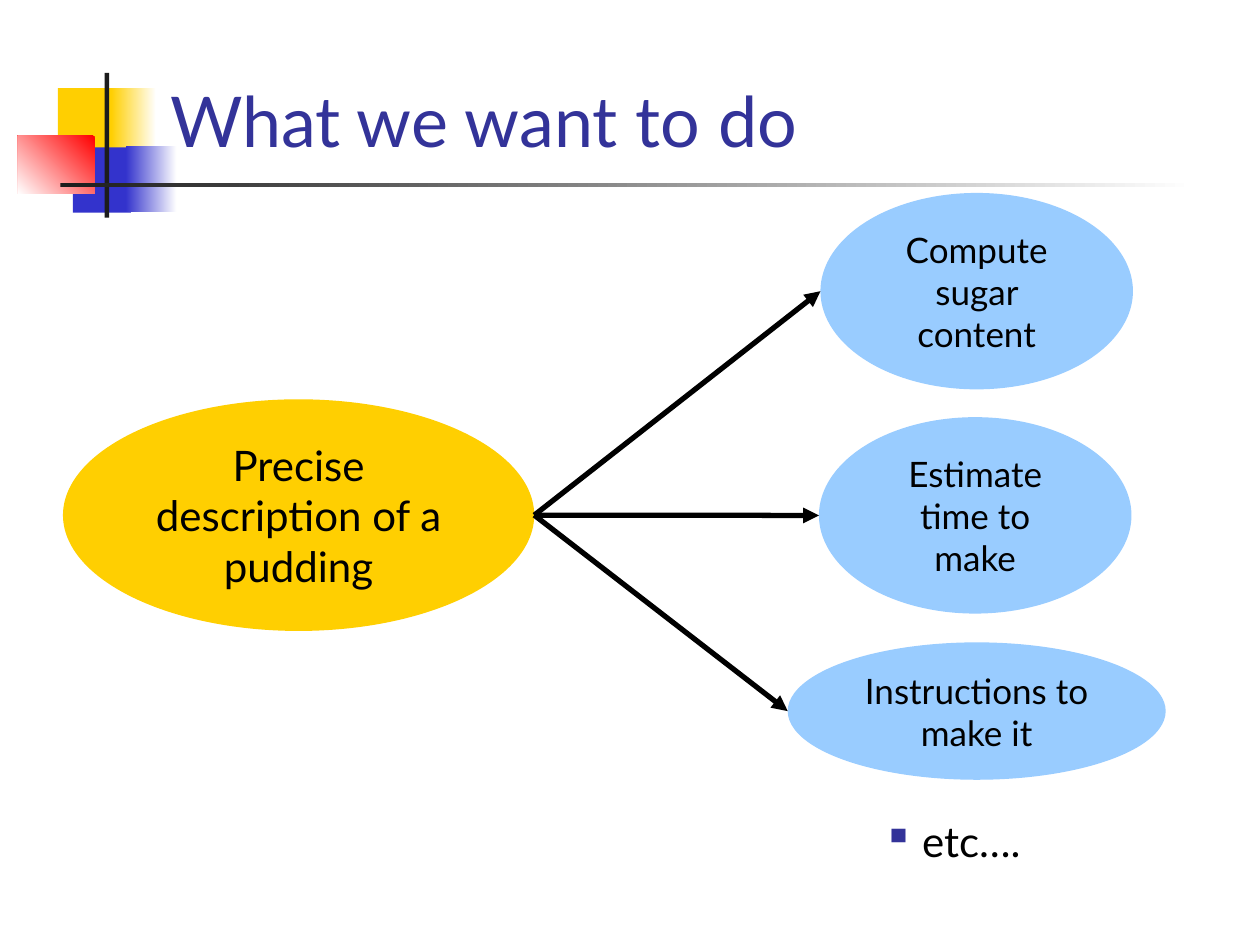
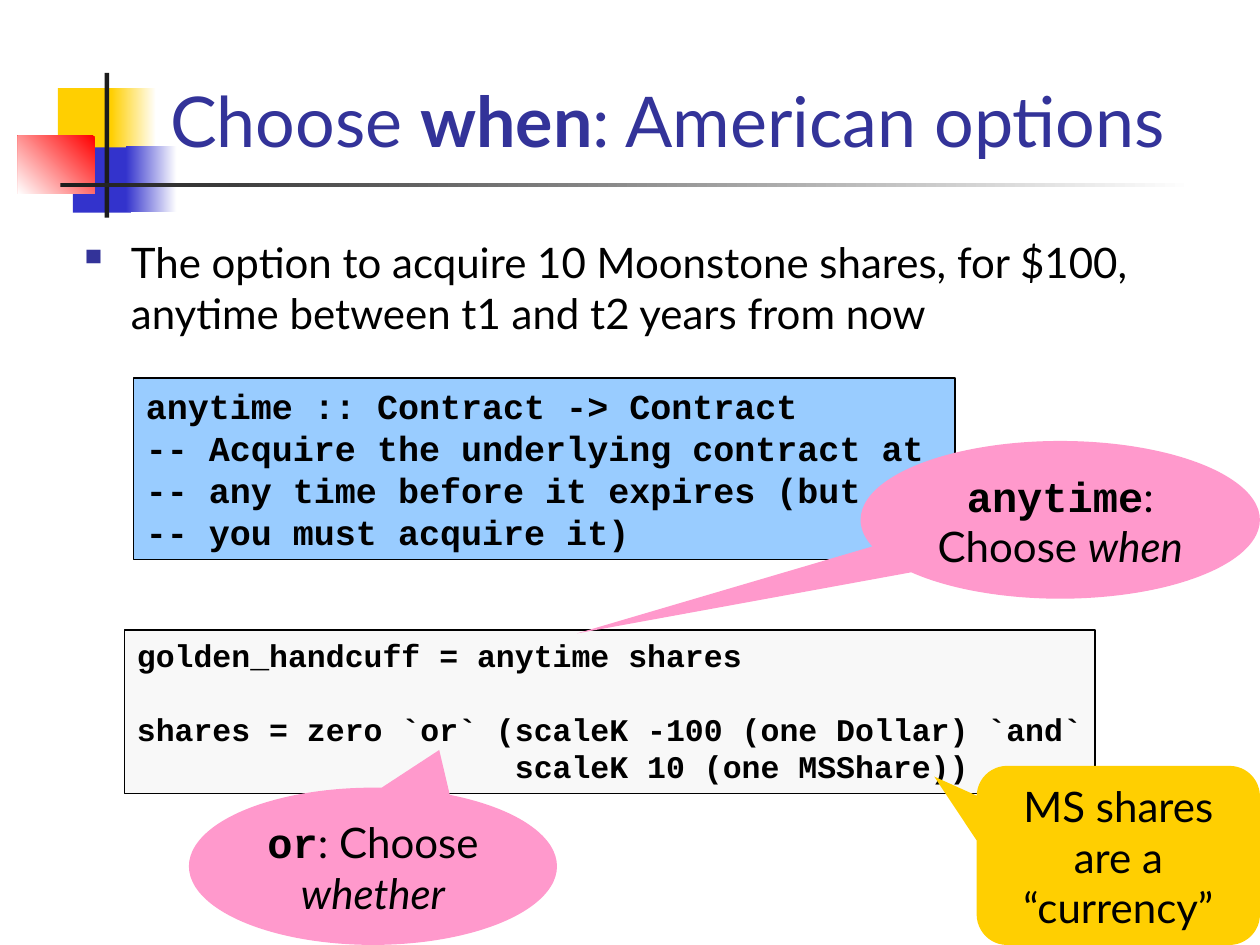
"""Build two slides: a pudding diagram and a page on American options."""
from lxml import etree
from pptx import Presentation
from pptx.dml.color import RGBColor
from pptx.enum.shapes import MSO_CONNECTOR, MSO_SHAPE
from pptx.enum.text import MSO_ANCHOR, PP_ALIGN
from pptx.oxml.ns import qn
from pptx.util import Cm, Pt

RECT = MSO_SHAPE.RECTANGLE
OVAL = MSO_SHAPE.OVAL
BUBBLE = MSO_SHAPE.OVAL_CALLOUT
TAG = MSO_SHAPE.ROUNDED_RECTANGULAR_CALLOUT
LINE = MSO_CONNECTOR.STRAIGHT
TOP, MIDDLE, BOTTOM = MSO_ANCHOR.TOP, MSO_ANCHOR.MIDDLE, MSO_ANCHOR.BOTTOM
LEFT, CENTER = PP_ALIGN.LEFT, PP_ALIGN.CENTER


class Theme:
    sans, mono = "Lato", "Courier New"
    black = RGBColor.from_string("000000")
    white = RGBColor.from_string("FFFFFF")
    ink = RGBColor.from_string("1C1C1C")
    navy = RGBColor.from_string("333399")
    gold = RGBColor.from_string("FFCF01")
    blue = RGBColor.from_string("3333CC")
    red = RGBColor.from_string("FF0000")
    sky = RGBColor.from_string("99CCFF")
    pink = RGBColor.from_string("FF99CC")
    pale = RGBColor.from_string("F8F8F8")
    title, body, label, code = Pt(40), Pt(24), Pt(20), Pt(18)


def block(slide, kind, box, fill, fade=None, edge=None):
    shape = slide.shapes.add_shape(kind, *map(Cm, box))
    shape.shadow.inherit = False
    if fade is None:
        shape.fill.solid()
        shape.fill.fore_color.rgb = fill
    else:
        shape.fill.gradient()
        shape.fill.gradient_angle = fade
        for stop, color in zip(shape.fill.gradient_stops, (fill, Theme.white)):
            stop.color.rgb = color
    if edge is None:
        shape.line.fill.background()
    else:
        shape.line.color.rgb = edge
        shape.line.width = Pt(1)
    return shape


def write(shape, lines, size, font=Theme.sans, color=Theme.black,
          align=CENTER, anchor=MIDDLE, bold=False, hang=None):
    frame = shape.text_frame
    frame.word_wrap = True
    frame.vertical_anchor = anchor
    for count, line in enumerate(lines):
        para = frame.paragraphs[0] if count == 0 else frame.add_paragraph()
        para.alignment = align
        if hang:
            props = para._p.get_or_add_pPr()
            props.set("marL", str(Cm(hang)))
            props.set("indent", str(-Cm(hang)))
            tint = etree.SubElement(props, qn("a:buClr"))
            etree.SubElement(tint, qn("a:srgbClr"), val=str(Theme.navy))
            etree.SubElement(props, qn("a:buChar"), char="▪")
        para.font.name, para.font.size = font, size
        para.font.color.rgb, para.font.bold = color, bold
        for text, style in [(line, "")] if isinstance(line, str) else line:
            run = para.add_run()
            run.text = text
            if style in ("bold", "mono"):
                run.font.bold = True
            if style == "mono":
                run.font.name = Theme.mono
            if style == "italic":
                run.font.italic = True


deck = Presentation()
deck.slide_width, deck.slide_height = Cm(25.4), Cm(19.05)

bands = [
    ((1.17, 1.78, 1.22, 1.32), Theme.gold, None),
    ((2.24, 1.78, 0.91, 1.32), Theme.gold, 0),
    ((1.47, 2.97, 1.17, 1.32), Theme.blue, None),
    ((2.54, 2.95, 1.02, 1.32), Theme.blue, 0),
    ((0.36, 2.74, 1.55, 1.17), Theme.red, 225),
    ((2.11, 1.47, 0.09, 2.92), Theme.ink, None),
    ((1.22, 3.68, 22.86, 0.09), Theme.ink, 0),
]
titles = [
    "What we want to do",
    [("Choose ", ""), ("when", "bold"), (": American options", "")],
]
pages = []
for title in titles:
    page = deck.slides.add_slide(deck.slide_layouts[6])
    for box, color, fade in bands:
        block(page, RECT, box, color, fade)
    head = page.shapes.add_textbox(Cm(3.18), Cm(0.2), Cm(21.64), Cm(3.18))
    write(head, [title], Theme.title, color=Theme.navy, align=LEFT, anchor=BOTTOM)
    pages.append(page)
goals, option = pages

hub = block(goals, OVAL, (1.27, 8.05, 9.5, 4.67), Theme.gold)
write(hub, ["Precise description of a pudding"], Theme.body)
uses = [
    ("Compute sugar content", (16.54, 3.89, 6.3, 3.96)),
    ("Estimate time to make", (16.51, 8.41, 6.3, 3.96)),
    ("Instructions to make it", (15.88, 12.95, 7.62, 2.77)),
]
for text, box in uses:
    use = block(goals, OVAL, box, Theme.sky)
    write(use, [text], Theme.label)
    arrow = goals.shapes.add_connector(
        LINE, hub.left + hub.width, hub.top + hub.height // 2,
        use.left, use.top + use.height // 2)
    arrow.line.color.rgb = Theme.black
    arrow.line.width = Pt(3)
    etree.SubElement(arrow.line._get_or_add_ln(), qn("a:tailEnd"), type="triangle")
    etree.SubElement(arrow._element.spPr, qn("a:effectLst"))

points = [
    (goals, "etc….", (17.55, 16.31, 3.38, 1.27), 0.79),
    (option, "The option to acquire 10 Moonstone shares, for $100, "
     "anytime between t1 and t2 years from now", (1.32, 4.65, 22.78, 2.29), 1.07),
]
for page, text, box, hang in points:
    point = page.shapes.add_textbox(*map(Cm, box))
    write(point, [text], Theme.body, align=LEFT, anchor=TOP, hang=hang)

codes = [
    ((2.69, 7.62, 16.56, 3.66), Theme.sky, Theme.label, [
        "anytime :: Contract -> Contract",
        "-- Acquire the underlying contract at",
        "-- any time before it expires (but",
        "-- you must acquire it)"]),
    ((2.51, 12.7, 19.56, 3.3), Theme.pale, Theme.code, [
        "golden_handcuff = anytime shares",
        "shares = zero `or` (scaleK -100 (one Dollar) `and`",
        "                    scaleK 10 (one MSShare))"]),
]
for box, color, size, lines in codes:
    code = block(option, RECT, box, color, edge=Theme.black)
    write(code, lines, size, Theme.mono, align=LEFT, anchor=TOP, bold=True)
code.text_frame.paragraphs[1].space_before = Pt(20.4)

notes = [
    (BUBBLE, (17.35, 8.89, 8.05, 3.18), Theme.pink, (-1.21, 0.72),
     [("anytime", "mono"), (": Choose ", ""), ("when", "italic")]),
    (TAG, (19.69, 15.44, 5.71, 3.61), Theme.gold, (-0.65, -0.44, 0.17),
     "MS shares are a “currency”"),
    (BUBBLE, (3.81, 15.88, 7.42, 3.17), Theme.pink, (0.18, -0.74),
     [("or", "mono"), (": Choose ", ""), ("whether", "italic")]),
]
for kind, box, color, tip, text in notes:
    note = block(option, kind, box, color)
    for spot, value in enumerate(tip):
        note.adjustments[spot] = value
    write(note, [text], Theme.body, anchor=TOP)

deck.save("out.pptx")
